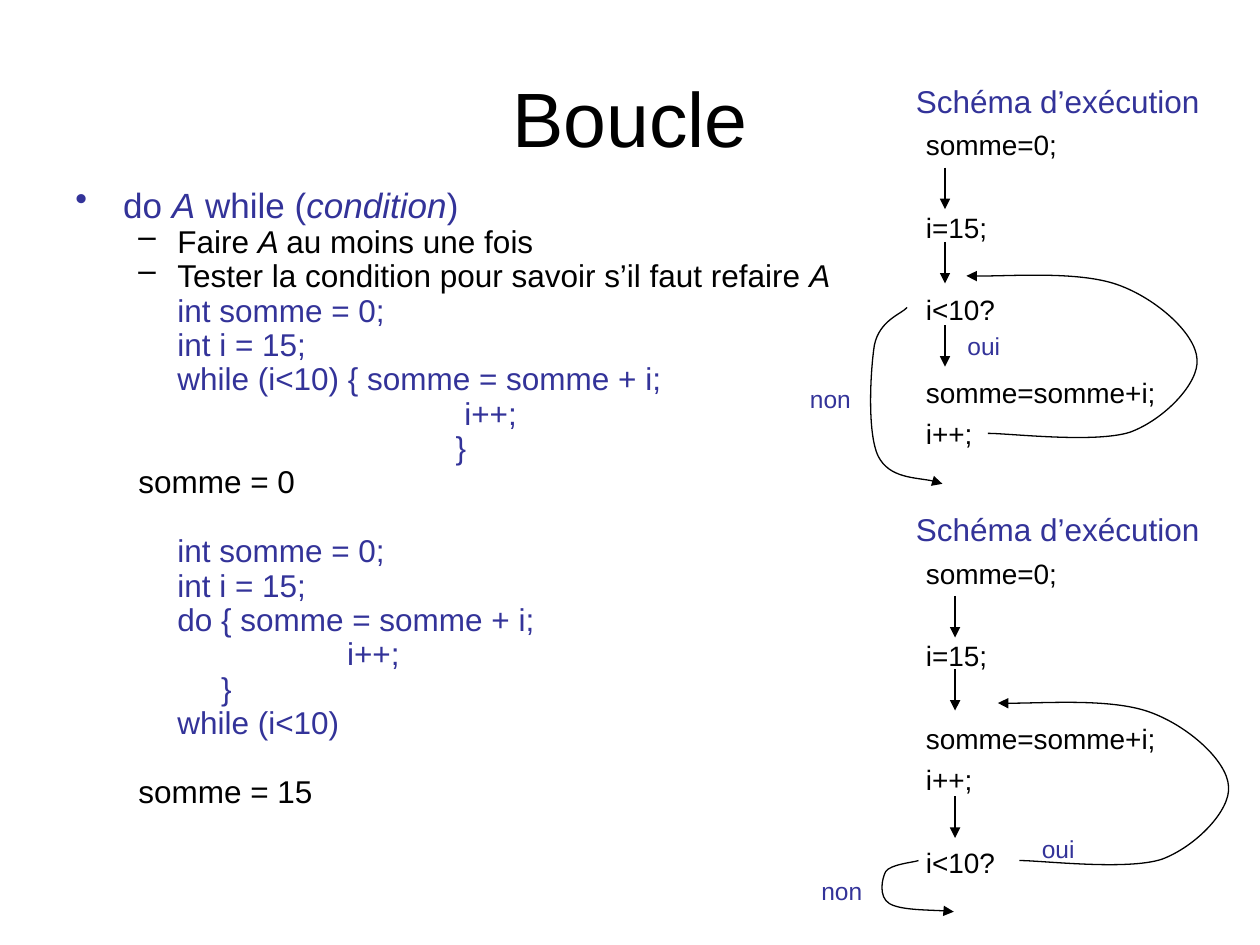
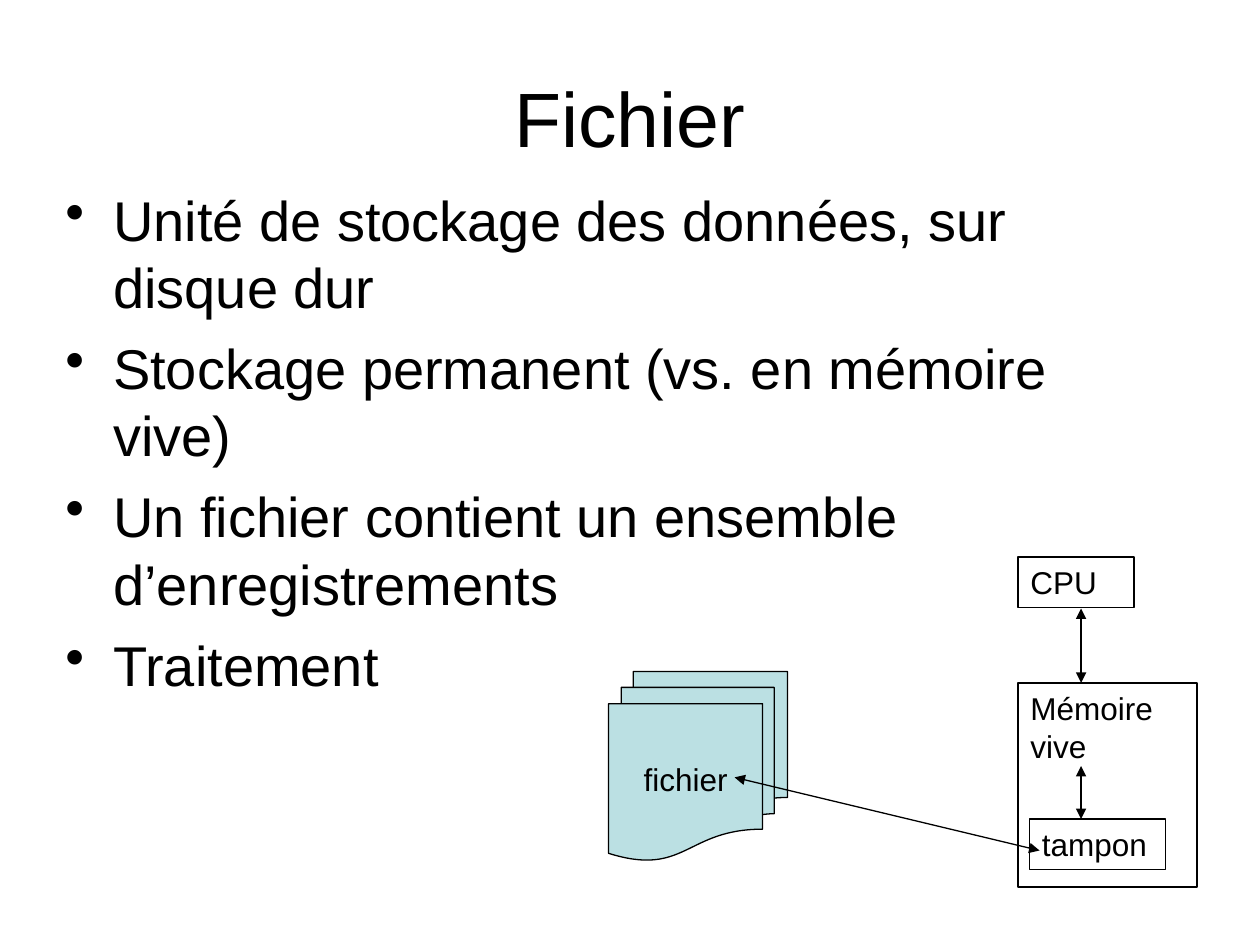
"""Builds two course slides, on loops and on files."""
from dataclasses import dataclass

from lxml import etree
from pptx import Presentation
from pptx.dml.color import RGBColor
from pptx.enum import shapes, text
from pptx.oxml import ns
from pptx.util import Inches, Pt


@dataclass(frozen=True)
class Theme:
    font: str = "Arial"
    ink: str = "000000"
    accent: str = "333399"
    paper: str = "BBE0E3"
    title: int = 44
    body: int = 32
    topic: int = 20
    label: int = 18
    step: int = 16
    branch: int = 14
    stroke: float = 0.75


@dataclass(frozen=True)
class Box:
    left: float
    top: float
    width: float
    height: float


@dataclass(frozen=True)
class Line:
    spans: tuple[str, ...]
    size: int
    color: str
    margin: float = 0
    hanging: float = 0
    bullet: str = ""
    before: float = 0
    spacing: float = 1
    level: int = 0
    align: text.PP_ALIGN = text.PP_ALIGN.LEFT


@dataclass(frozen=True)
class Flow:
    top: float
    steps: tuple[tuple[str, bool], ...]
    arrow_x: float
    arrow_tops: tuple[float, ...]
    yes_at: tuple[float, float]
    no_at: tuple[float, float]
    loop_at: tuple[float, float]
    exit_at: tuple[float, float]
    exit_stretch: float


THEME = Theme()
TITLE_BOX = Box(0.5, 0.3, 9, 1.25)
LOOP_CURVE = ((0.17, 1.29), (0.35, 1.29), (1.02, 1.37), (1.3, 1.28), (1.57, 1.18),
              (1.85, 0.89), (1.83, 0.7), (1.82, 0.5), (1.51, 0.22), (1.2, 0.11),
              (0.89, 0), (0.25, 0.05), (0, 0.04))
EXIT_CURVE = ((0.32, 0), (0.28, 0.05), (0.1, 0.1), (0.06, 0.3), (0.03, 0.49),
              (0, 0.99), (0.09, 1.18), (0.18, 1.36), (0.49, 1.35), (0.6, 1.4))
FLOWS = (
    Flow(0.6, (("somme=0;", False), ("i=15;", True), ("i<10?", True),
               ("somme=somme+i;", True), ("i++;", False)),
         7.5, (0.73, 1.32, 1.98), (7.58, 2.58), (6.33, 3), (7.67, 2.15), (6.88, 2.44), 1),
    Flow(4, (("somme=0;", False), ("i=15;", True), ("somme=somme+i;", True),
             ("i++;", False), ("i<10?", True)),
         7.58, (0.73, 1.31, 2.32), (8.17, 6.57), (6.42, 6.9), (7.92, 5.54), (6.97, 6.83), 0.29),
)
CODE_GAP = 4.5
CODE_BLANK = 24.2
STEP_GAP = 14
STEP_BLANK = 37.6


def rgb(color: str) -> RGBColor:
    """Turn a hex string into a colour."""
    return RGBColor.from_string(color)


def place(box: Box) -> tuple:
    """Give a box as four lengths."""
    return tuple(Inches(value) for value in (box.left, box.top, box.width, box.height))


def write(shape, lines: list[Line], anchor=text.MSO_ANCHOR.TOP, wrap: bool = True) -> None:
    """Fill a shape with lines whose odd spans are italic."""
    frame = shape.text_frame
    frame.word_wrap = wrap
    frame.vertical_anchor = anchor
    for index, line in enumerate(lines):
        para = frame.add_paragraph() if index else frame.paragraphs[0]
        para.level = line.level
        para.alignment = line.align
        properties = para._p.get_or_add_pPr()
        properties.set("marL", str(Inches(line.margin)))
        properties.set("indent", str(Inches(line.hanging)))
        if line.bullet:
            color = etree.SubElement(properties, ns.qn("a:buClr"))
            etree.SubElement(color, ns.qn("a:srgbClr"), val=line.color)
            etree.SubElement(properties, ns.qn("a:buChar"), char=line.bullet)
        else:
            etree.SubElement(properties, ns.qn("a:buNone"))
        para.line_spacing = line.spacing
        para.space_before = Pt(line.before if index else 0)
        for position, words in enumerate(line.spans):
            span = para.add_run()
            span.text = words
            span.font.name = THEME.font
            span.font.size = Pt(line.size)
            span.font.italic = position % 2 == 1
            span.font.color.rgb = rgb(line.color)


def add_text(page, box: Box, lines: list[Line], anchor=text.MSO_ANCHOR.TOP) -> None:
    """Add a wrapped text box."""
    write(page.shapes.add_textbox(*place(box)), lines, anchor)


def add_page(deck, title: str):
    """Add a blank page with a centred title."""
    page = deck.slides.add_slide(deck.slide_layouts[6])
    line = Line((title,), THEME.title, THEME.ink, align=text.PP_ALIGN.CENTER)
    add_text(page, TITLE_BOX, [line], text.MSO_ANCHOR.MIDDLE)
    return page


def outline(shape, *arrow_ends: str) -> None:
    """Give a shape or connector the thin line and its arrowheads."""
    shape.line.color.rgb = rgb(THEME.ink)
    shape.line.width = Pt(THEME.stroke)
    stroke = shape.line._get_or_add_ln()
    for end in arrow_ends:
        etree.SubElement(stroke, ns.qn(f"a:{end}"), type="triangle")


def add_arrow(page, start: tuple[float, float], end: tuple[float, float], *arrow_ends: str) -> None:
    """Add a straight arrow."""
    points = (Inches(value) for value in (*start, *end))
    arrow = page.shapes.add_connector(shapes.MSO_CONNECTOR.STRAIGHT, *points)
    outline(arrow, *arrow_ends)
    etree.SubElement(arrow._element.spPr, ns.qn("a:effectLst"))


def add_curve(page, curve, origin: tuple[float, float], stretch: float = 1) -> None:
    """Add a curved arrow from Bezier points."""
    points = [(Inches(origin[0] + x), Inches(origin[1] + y * stretch)) for x, y in curve]
    builder = page.shapes.build_freeform(*points[0])
    builder.add_line_segments(points[1:], close=False)
    shape = builder.convert_to_shape()
    segments = list(shape._element.iter(ns.qn("a:lnTo")))
    for first in range(0, len(segments), 3):
        bezier = etree.SubElement(segments[first].getparent(), ns.qn("a:cubicBezTo"))
        for segment in segments[first:first + 3]:
            bezier.append(segment[0])
            segment.getparent().remove(segment)
    shape.shadow.inherit = False
    shape.fill.background()
    outline(shape, "tailEnd")


def add_block(page, kind, box: Box, label: str, fill: str = "") -> None:
    """Add an outlined shape, filled and centred when a fill is given."""
    shape = page.shapes.add_shape(kind, *place(box))
    shape.shadow.inherit = False
    outline(shape)
    if fill:
        shape.fill.solid()
        shape.fill.fore_color.rgb = rgb(fill)
        line = Line((label,), THEME.label, THEME.ink, align=text.PP_ALIGN.CENTER)
        write(shape, [line], text.MSO_ANCHOR.MIDDLE, wrap=False)
    else:
        shape.fill.background()
        write(shape, [Line((label,), THEME.label, THEME.ink)])


def point(*spans: str) -> Line:
    """Make a dashed second-level point."""
    return Line(spans, THEME.label, THEME.ink, 0.81, -0.31, "–", CODE_GAP, 0.7, 1)


def code(words: str, tabs: int = 0, before: float = CODE_GAP) -> Line:
    """Make a line of code indented by whole inches."""
    return Line((words,), THEME.label, THEME.accent, 0.81 + tabs, 0, "", before, 0.7, 1)


def result(words: str, before: float = CODE_GAP) -> Line:
    """Make a line that states the final value."""
    return Line((words,), THEME.label, THEME.ink, 0.81, -0.31, "", before, 0.7, 1)


def add_flow(page, flow: Flow) -> None:
    """Draw one execution diagram."""
    heading = Line(("Schéma d’exécution",), THEME.label, THEME.accent)
    steps = [Line((words,), THEME.step, THEME.ink, spacing=0.5,
                  before=STEP_BLANK if apart else STEP_GAP) for words, apart in flow.steps]
    add_text(page, Box(7.25, flow.top + 0.48, 2.25, 2.53), steps)
    for offset in flow.arrow_tops:
        top = flow.top + offset
        add_arrow(page, (flow.arrow_x, top), (flow.arrow_x, top + 0.33), "tailEnd")
    for words, corner in (("oui", flow.yes_at), ("non", flow.no_at)):
        add_text(page, Box(*corner, 0.67, 0.34), [Line((words,), THEME.branch, THEME.accent)])
    add_curve(page, EXIT_CURVE, flow.exit_at, flow.exit_stretch)
    add_curve(page, LOOP_CURVE, flow.loop_at)
    add_text(page, Box(7.17, flow.top, 2.5, 0.4), [heading])


def add_loop_page(deck) -> None:
    """Build the page on the do-while loop."""
    page = add_page(deck, "Boucle")
    add_text(page, Box(0.5, 1.5, 9, 5.5), [
        Line(("do ", "A", " while (", "condition", ")"), THEME.topic, THEME.accent,
             0.38, -0.38, "•", 0, 0.7),
        point("Faire ", "A ", "au moins une fois"),
        point("Tester la condition pour savoir s’il faut refaire ", "A"),
        code("int somme = 0;"),
        code("int i = 15;"),
        code("while (i<10) { somme = somme + i;"),
        code("    i++;", 2),
        code("   }", 2),
        result("somme = 0"),
        code("int somme = 0;", before=CODE_BLANK),
        code("int i = 15;"),
        code("do { somme = somme + i;"),
        code("     i++;", 1),
        code("     }"),
        code("while (i<10)"),
        result("somme = 15", CODE_BLANK),
    ])
    for flow in FLOWS:
        add_flow(page, flow)


def add_file_page(deck) -> None:
    """Build the page on files and memory."""
    page = add_page(deck, "Fichier")
    topics = ("Unité de stockage des données, sur disque dur",
              "Stockage permanent (vs. en mémoire vive)",
              "Un fichier contient un ensemble d’enregistrements",
              "Traitement")
    add_text(page, Box(0.42, 1.42, 9, 4.95), [
        Line((topic,), THEME.body, THEME.ink, 0.38, -0.38, "•", 8) for topic in topics])
    add_block(page, shapes.MSO_SHAPE.FLOWCHART_MULTIDOCUMENT,
              Box(4.83, 5.33, 1.42, 1.5), "fichier", THEME.paper)
    for label, box in (("CPU", Box(8.08, 4.42, 0.92, 0.4)),
                       ("Mémoire vive", Box(8.08, 5.42, 1.42, 1.62)),
                       ("tampon", Box(8.17, 6.5, 1.08, 0.4))):
        add_block(page, shapes.MSO_SHAPE.RECTANGLE, box, label)
    for start, end in (((5.83, 6.17), (8.25, 6.75)),
                       ((8.58, 4.83), (8.58, 5.42)),
                       ((8.58, 6.08), (8.58, 6.5))):
        add_arrow(page, start, end, "headEnd", "tailEnd")


def main() -> None:
    """Build and save the deck."""
    deck = Presentation()
    deck.slide_width, deck.slide_height = Inches(10), Inches(7.5)
    add_loop_page(deck)
    add_file_page(deck)
    deck.save("out.pptx")


if __name__ == "__main__":
    main()
